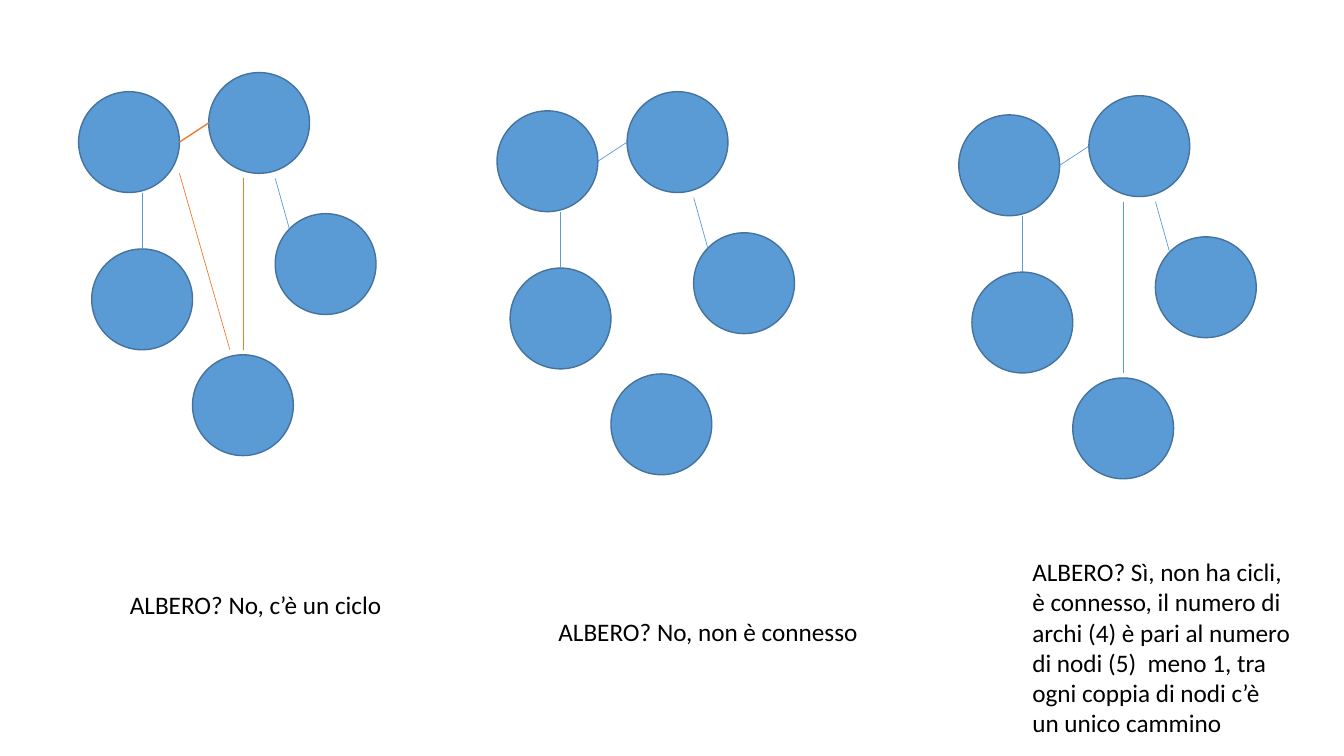
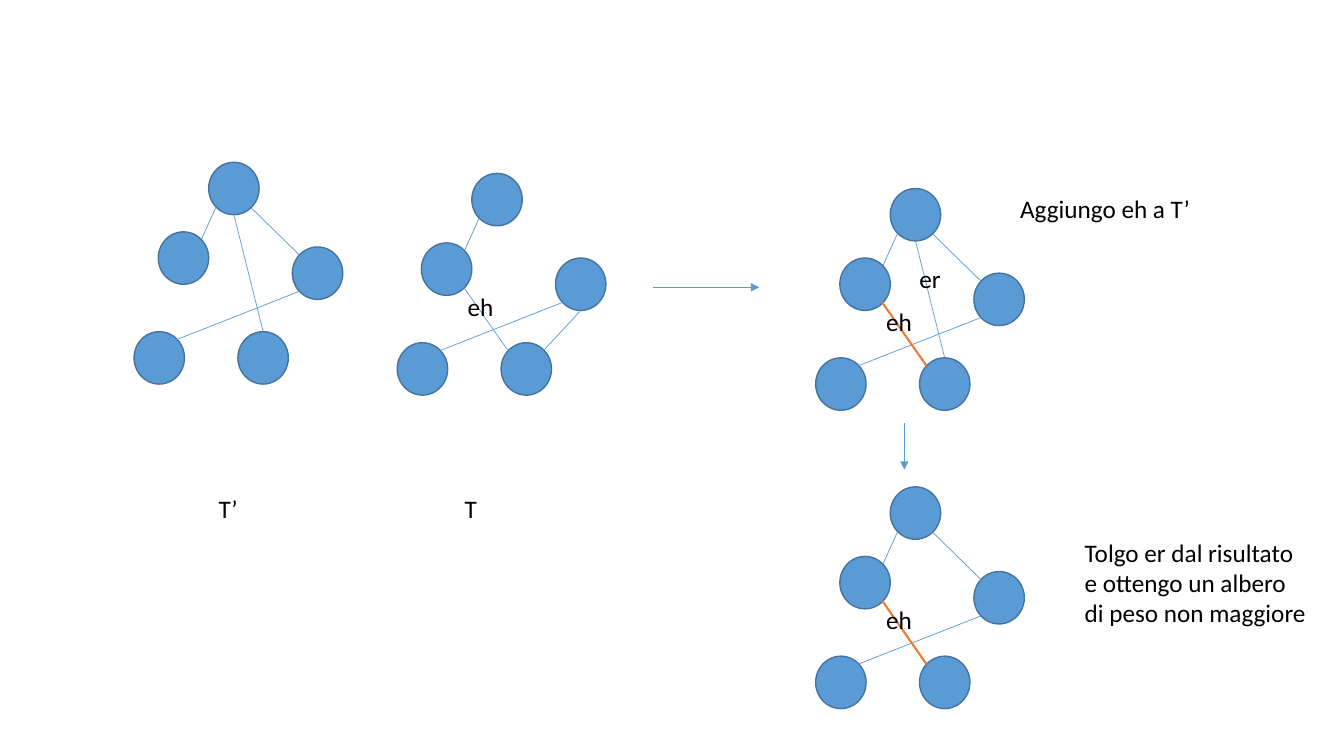
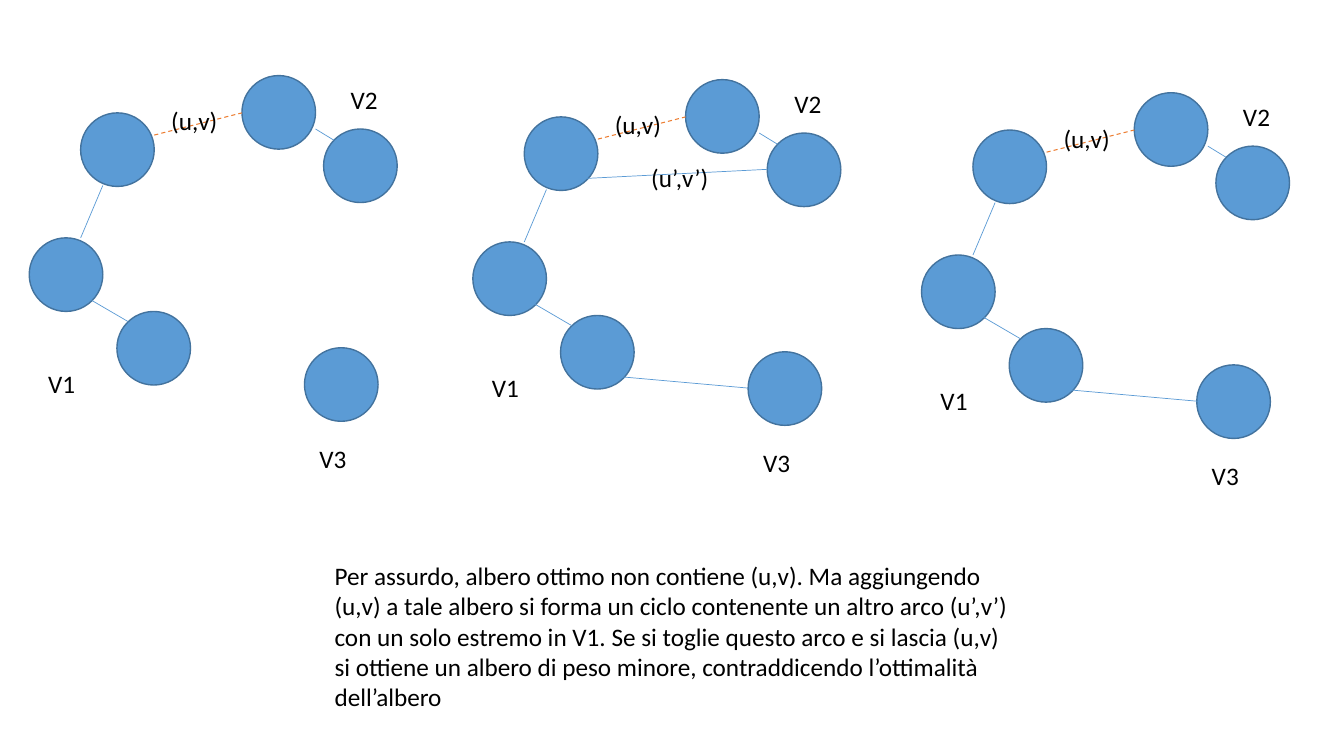
from lxml import etree
from pptx import Presentation
from pptx.dml.color import RGBColor
from pptx.enum.dml import MSO_LINE
from pptx.enum.shapes import MSO_CONNECTOR, MSO_SHAPE
from pptx.enum.text import MSO_AUTO_SIZE, PP_ALIGN
from pptx.oxml.ns import qn
from pptx.util import Pt

ELLIPSE = MSO_SHAPE.OVAL
STRAIGHT = MSO_CONNECTOR.STRAIGHT
DASH = MSO_LINE.DASH
GROW = MSO_AUTO_SIZE.SHAPE_TO_FIT_TEXT
LEFT = PP_ALIGN.LEFT

EMU_PER_PX = 9144
BLANK_LAYOUT = 6
BLUE = "5B9BD5"
DARK_BLUE = "43739E"
ORANGE = "ED7D31"
BLACK = "000000"


def px(length):
    return length * EMU_PER_PX


def color(hex_code):
    return RGBColor.from_string(hex_code)


class GraphDeck:
    """Draws graphs of nodes, edges and labels on the current slide."""

    def __init__(self):
        self.deck = Presentation()
        self.deck.slide_width = px(1333)
        self.deck.slide_height = px(750)
        self.origin = (0, 0)

    def new_slide(self):
        layout = self.deck.slide_layouts[BLANK_LAYOUT]
        self.shapes = self.deck.slides.add_slide(layout).shapes
        self.move_to(0, 0)

    def move_to(self, x, y):
        self.origin = (x, y)

    def place(self, x, y):
        return px(self.origin[0] + x), px(self.origin[1] + y)

    def nodes(self, corners, width, height):
        for corner in corners:
            node = self.shapes.add_shape(ELLIPSE, *self.place(*corner), px(width), px(height))
            node.shadow.inherit = False
            node.fill.solid()
            node.fill.fore_color.rgb = color(BLUE)
            node.line.color.rgb = color(DARK_BLUE)
            node.line.width = Pt(1)

    def edge(self, ends, stroke=BLUE, weight=0.5, dashed=False, arrow=False):
        x1, y1, x2, y2 = ends
        edge = self.shapes.add_connector(STRAIGHT, *self.place(x1, y1), *self.place(x2, y2))
        edge.line.color.rgb = color(stroke)
        edge.line.width = Pt(weight)
        if dashed:
            edge.line.dash_style = DASH
        properties = edge._element.spPr
        if arrow:
            etree.SubElement(properties.find(qn("a:ln")), qn("a:tailEnd"), type="triangle")
        etree.SubElement(properties, qn("a:effectLst"))

    def edges(self, paths, **style):
        for ends in paths:
            self.edge(ends, **style)

    def label(self, text, x, y, width, height=40, wrap=False):
        box = self.shapes.add_textbox(*self.place(x, y), px(width), px(height))
        frame = box.text_frame
        frame.word_wrap = wrap
        frame.auto_size = GROW
        frame.text = text
        for paragraph in frame.paragraphs:
            paragraph.alignment = LEFT
            for run in paragraph.runs:
                run.font.name = "Calibri"
                run.font.size = Pt(18)
                run.font.color.rgb = color(BLACK)


def tree_examples(deck):
    corners = [(273, 212), (191, 352), (207, 72), (91, 247), (78, 91)]
    left_edge = (141, 191, 141, 247)
    top_edge = (178, 141, 207, 122)
    right_edge = (273, 177, 287, 227)
    long_edge = (241, 177, 241, 347)
    closing_edge = (178, 172, 228, 347)

    deck.new_slide()
    for origin in [(0, 0), (415, 19), (873, 23)]:
        deck.move_to(*origin)
        deck.nodes(corners, 100, 100)
        deck.edges([left_edge, right_edge])
        if origin == (0, 0):
            deck.edge(top_edge, ORANGE, 1)
            deck.edges([long_edge, closing_edge], stroke=ORANGE)
        else:
            deck.edge(top_edge)
    deck.edge(long_edge)

    deck.move_to(0, 0)
    deck.label("ALBERO? No, c’è un ciclo", 119, 580, 273)
    deck.label("ALBERO? No, non è connesso", 544, 607, 320)
    deck.label(
        "ALBERO? Sì, non ha cicli,\nè connesso, il numero di\n"
        "archi (4) è pari al numero\ndi nodi (5)  meno 1, tra\n"
        "ogni coppia di nodi c’è\nun unico cammino",
        1014, 547, 279, 192)


def edge_exchange(deck):
    corners = [(207, 161), (236, 329), (133, 329), (290, 245), (157, 230)]
    top_left = (200, 237, 214, 206)
    top_right = (249, 206, 297, 253)
    er_edge = (232, 213, 261, 329)
    cross_edge = (297, 289, 175, 337)
    eh_edge = (199, 274, 243, 337)
    lower_right = (315, 297, 278, 337)
    shared = [top_left, top_right, cross_edge]
    graphs = [
        ((0, 0), shared + [er_edge]),
        ((261, 11), [top_left, eh_edge, cross_edge, lower_right]),
        ((676, 26), shared + [er_edge]),
        ((676, 322), shared),
    ]

    deck.new_slide()
    for number, (origin, paths) in enumerate(graphs):
        deck.move_to(*origin)
        deck.nodes(corners, 50, 52)
        deck.edges(paths)
        if number > 1:
            deck.edge(eh_edge, ORANGE, 1.5)
        if number > 0:
            deck.label("eh", 193, 273, 46)

    deck.move_to(0, 0)
    deck.edges([(648, 285, 753, 285), (897, 420, 897, 466)], arrow=True)
    deck.label("er", 902, 256, 42)
    deck.label("T’", 207, 484, 39)
    deck.label("T", 451, 484, 33, wrap=True)
    deck.label("Aggiungo eh a T’", 1002, 187, 190)
    deck.label("Tolgo er dal risultato\ne ottengo un albero\ndi peso non maggiore",
               1066, 528, 268, 101, wrap=True)


def optimality_proof(deck):
    corners = [(80, 112), (302, 345), (321, 128), (240, 75), (116, 309), (29, 236)]
    tree_edges = [(80, 236, 102, 184), (91, 298, 127, 319), (313, 128, 331, 139)]
    uv_edge = (153, 134, 240, 112)
    v3_edge = (178, 370, 302, 381)
    other_edge = (142, 173, 321, 164)
    set_labels = [("V1", 38, 360), ("V2", 338, 79), ("V3", 307, 435)]
    graphs = [
        ((0, 0), []),
        ((440, 4), [v3_edge, other_edge]),
        ((885, 17), [v3_edge]),
    ]

    deck.new_slide()
    for origin, added_edges in graphs:
        deck.move_to(*origin)
        deck.nodes(corners, 73, 73)
        deck.edges(tree_edges + added_edges)
        deck.edge(uv_edge, ORANGE, 0.75, dashed=True)
        for name, x, y in set_labels:
            deck.label(name, x, y, 47)
        deck.label("(u,v)", 160, 100, 67)

    deck.move_to(0, 0)
    deck.label("(u’,v’)", 636, 156, 78)
    deck.label(
        "Per assurdo, albero ottimo non contiene (u,v). Ma aggiungendo\n"
        "(u,v) a tale albero si forma un ciclo contenente un altro arco (u’,v’)\n"
        "con un solo estremo in V1. Se si toglie questo arco e si lascia (u,v)\n"
        "si ottiene un albero di peso minore, contraddicendo l’ottimalità\n"
        "dell’albero",
        322, 551, 696, 162)


def main():
    deck = GraphDeck()
    tree_examples(deck)
    edge_exchange(deck)
    optimality_proof(deck)
    deck.deck.save("out.pptx")


if __name__ == "__main__":
    main()
